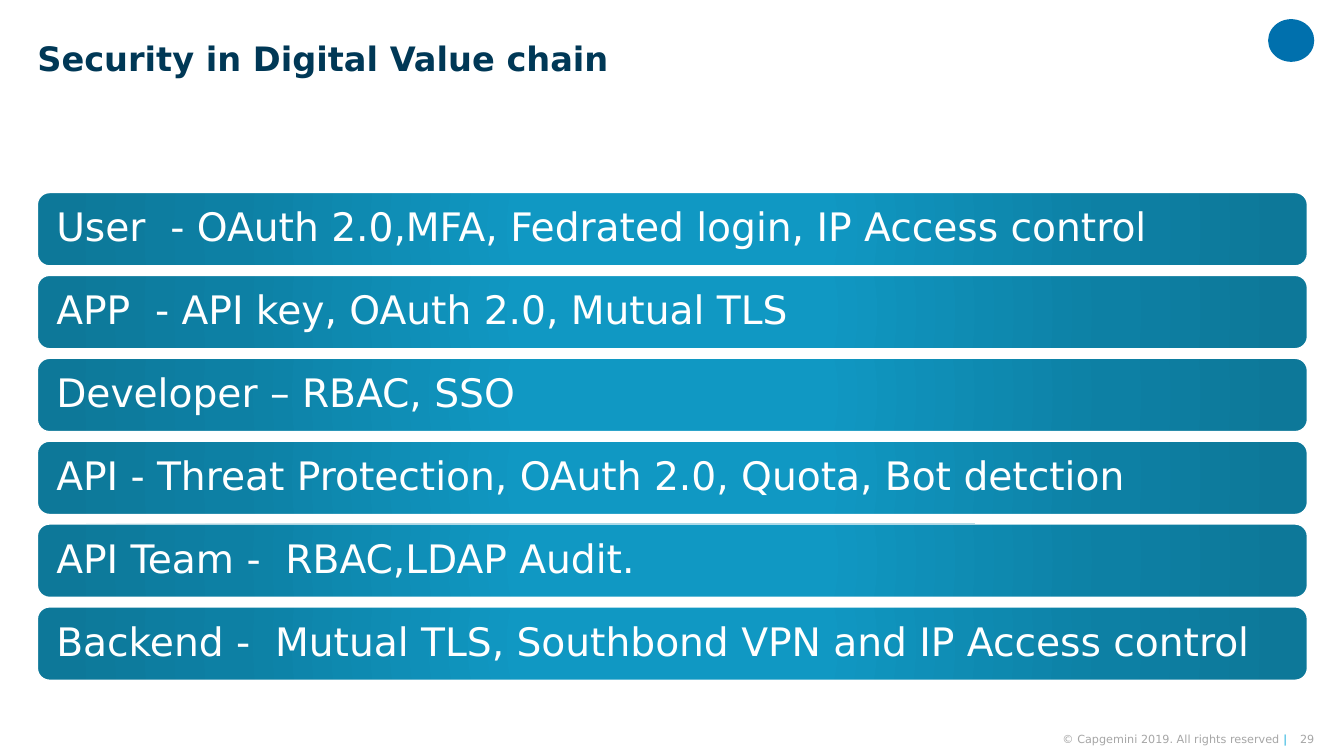
from dataclasses import dataclass

from lxml import etree
from pptx import Presentation
from pptx.dml.color import RGBColor
from pptx.enum import shapes, text
from pptx.oxml import ns
from pptx.util import Pt


@dataclass(frozen=True)
class Theme:
    font: str = "DejaVu Sans"
    title_size: int = 24
    bar_size: int = 28
    footer_size: int = 8
    title: str = "003856"
    white: str = "FFFFFF"
    grey: str = "A6A6A6"
    cyan: str = "12ABDB"
    blue: str = "0070AD"
    bar_stops: tuple = ((0, "1098C3"), (23, "1098C3"), (69, "0D80A4"), (97, "0D7899"))


THEME = Theme()

TITLE = "Security in Digital Value chain"
LAYERS = (
    "User  - OAuth 2.0,MFA, Fedrated login, IP Access control",
    "APP  - API key, OAuth 2.0, Mutual TLS",
    "Developer – RBAC, SSO",
    "API - Threat Protection, OAuth 2.0, Quota, Bot detction",
    "API Team -  RBAC,LDAP Audit.",
    "Backend -  Mutual TLS, Southbond VPN and IP Access control",
)
LEFT = 26.7
BAR_TOP, BAR_WIDTH, BAR_HEIGHT, BAR_PITCH = 137.5, 907.2, 52.4, 59.2


def apply_format(target, values):
    for name, value in values.items():
        setattr(target, name, value)


def place(shape, left, top, width, height):
    apply_format(shape, {"left": Pt(left), "top": Pt(top),
                         "width": Pt(width), "height": Pt(height)})


def write_text(shape, runs, size, align=text.PP_ALIGN.LEFT, inset=0,
               bold=False, wrap=True, line_spacing=1.0):
    """Fill the shape with one paragraph of (words, colour) runs."""
    frame = shape.text_frame
    apply_format(frame, {
        "margin_left": Pt(inset), "margin_right": Pt(inset),
        "margin_top": 0, "margin_bottom": 0,
        "word_wrap": wrap, "auto_size": text.MSO_AUTO_SIZE.NONE,
        "vertical_anchor": text.MSO_ANCHOR.MIDDLE,
    })
    paragraph = frame.paragraphs[0]
    apply_format(paragraph, {"alignment": align, "line_spacing": line_spacing})
    for words, colour in runs:
        run = paragraph.add_run()
        run.text = words
        apply_format(run.font, {"name": THEME.font, "size": Pt(size), "bold": bold})
        run.font.color.rgb = RGBColor.from_string(colour)


def fill_radial(shape, stops):
    """Give the shape a circular gradient that starts at its centre."""
    shape.fill.background()
    properties = shape.element.spPr
    gradient = etree.Element(ns.qn("a:gradFill"), rotWithShape="1")
    stop_list = etree.SubElement(gradient, ns.qn("a:gsLst"))
    for percent, colour in stops:
        stop = etree.SubElement(stop_list, ns.qn("a:gs"), pos=str(percent * 1000))
        etree.SubElement(stop, ns.qn("a:srgbClr"), val=colour)
    circle = etree.SubElement(gradient, ns.qn("a:path"), path="circle")
    etree.SubElement(circle, ns.qn("a:fillToRect"),
                     dict.fromkeys("ltrb", "50000"))
    properties.replace(properties.find(ns.qn("a:noFill")), gradient)


def add_title(slide):
    title = slide.shapes.title
    place(title, LEFT, 0, 867.6, 87.1)
    write_text(title, [(TITLE, THEME.title)], THEME.title_size,
               bold=True, line_spacing=0.9)


def add_bar(slide, top, words):
    bar = slide.shapes.add_shape(shapes.MSO_SHAPE.ROUNDED_RECTANGLE, Pt(LEFT),
                                 Pt(top), Pt(BAR_WIDTH), Pt(BAR_HEIGHT))
    bar.shadow.inherit = False
    fill_radial(bar, THEME.bar_stops)
    bar.line.color.rgb = RGBColor.from_string(THEME.white)
    bar.line.width = Pt(1)
    write_text(bar, [(words, THEME.white)], THEME.bar_size,
               inset=11, line_spacing=0.9)


def add_emblem(slide):
    emblem = slide.shapes.add_shape(shapes.MSO_SHAPE.OVAL,
                                    Pt(905.8), Pt(13.7), Pt(33), Pt(30.5))
    emblem.shadow.inherit = False
    emblem.fill.solid()
    emblem.fill.fore_color.rgb = RGBColor.from_string(THEME.blue)
    emblem.line.fill.background()


def add_footer_text(slide, left, width, runs, wrap=True):
    box = slide.shapes.add_textbox(Pt(left), Pt(523.4), Pt(width), Pt(9.4))
    write_text(box, runs, THEME.footer_size, text.PP_ALIGN.RIGHT, wrap=wrap)


def main():
    presentation = Presentation()
    apply_format(presentation, {"slide_width": Pt(960), "slide_height": Pt(540)})
    slide = presentation.slides.add_slide(
        presentation.slide_layouts.get_by_name("Title Only"))
    add_emblem(slide)
    add_footer_text(slide, 710, 209.5, [
        ("© Capgemini 2019. All rights reserved ", THEME.grey), ("|", THEME.cyan)])
    add_footer_text(slide, 925.2, 13.7, [("29", THEME.grey)], wrap=False)
    for index, words in enumerate(LAYERS):
        add_bar(slide, BAR_TOP + index * BAR_PITCH, words)
    add_title(slide)
    presentation.save("out.pptx")


if __name__ == "__main__":
    main()
